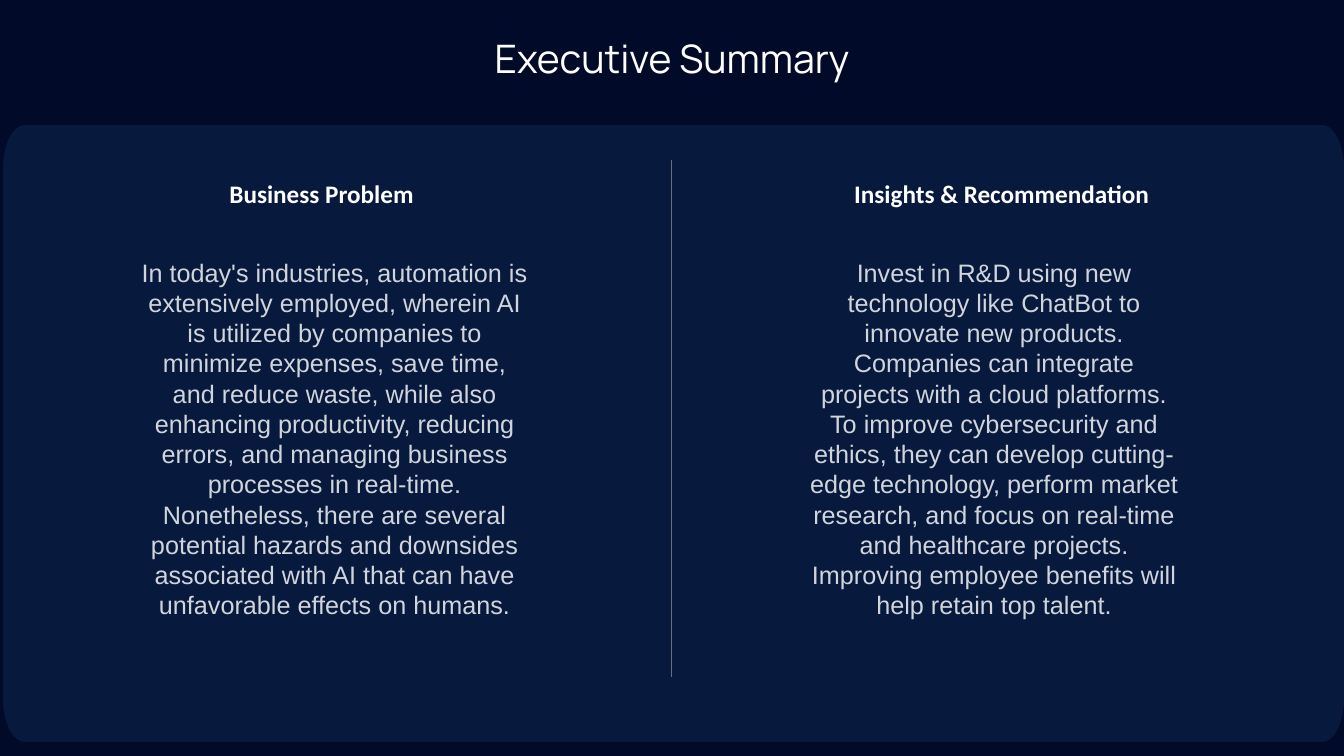
import math
from pptx import Presentation
from pptx import util as u
from pptx.dml.color import RGBColor
from pptx.enum import shapes, text
from pptx.oxml.ns import qn
from lxml import etree

PX = 914400 / 100.8
NAVY = RGBColor(0x01, 0x0A, 0x29)
BLUE = RGBColor(0x1F, 0x49, 0x7D)
WHITE = RGBColor(0xFF, 0xFF, 0xFF)
SILVER = RGBColor(0xD1, 0xD5, 0xDB)
SLATE = RGBColor(0x64, 0x6E, 0x85)


def px(*lengths):
    return [u.Emu(round(length * PX)) for length in lengths]


def write(box, wording, color, **font):
    frame = box.text_frame
    frame.word_wrap = True
    frame.auto_size = text.MSO_AUTO_SIZE.NONE
    frame.vertical_anchor = text.MSO_ANCHOR.TOP
    para = frame.paragraphs[0]
    para.alignment = text.PP_ALIGN.CENTER
    span = para.add_run()
    span.text = wording
    span.font.color.rgb = color
    for name, value in font.items():
        setattr(span.font, name, value)
    return frame


deck = Presentation()
deck.slide_width, deck.slide_height = px(1344, 756)
page = deck.slides.add_slide(deck.slide_layouts[5])
page.background.fill.solid()
page.background.fill.fore_color.rgb = NAVY

# Translucent panel with elliptical corners
LEFT, TOP, RIGHT, BOTTOM = 3, 125, 1344, 742
CORNER_W, CORNER_H, STEPS = 22, 43, 12
centers = [(RIGHT - CORNER_W, BOTTOM - CORNER_H), (LEFT + CORNER_W, BOTTOM - CORNER_H),
           (LEFT + CORNER_W, TOP + CORNER_H), (RIGHT - CORNER_W, TOP + CORNER_H)]
outline = []
for quarter, (x, y) in enumerate(centers):
    for step in range(STEPS + 1):
        angle = (quarter + step / STEPS) * math.pi / 2
        outline.append(px(x + CORNER_W * math.cos(angle), y + CORNER_H * math.sin(angle)))
builder = page.shapes.build_freeform(*outline[0])
builder.add_line_segments(outline[1:], close=True)
panel = builder.convert_to_shape()
panel.shadow.inherit = False
panel.line.fill.background()
panel.fill.solid()
panel.fill.fore_color.rgb = BLUE
panel_color = panel.fill._xPr.find(".//" + qn("a:srgbClr"))
etree.SubElement(panel_color, qn("a:alpha"), val="25000")

# Title
title = page.shapes.title
title.left, title.top, title.width, title.height = px(76, 9, 1192, 67)
frame = write(title, "Executive Summary", WHITE, name="Manrope", size=u.Pt(28))
for side in ("left", "top", "right", "bottom"):
    setattr(frame, f"margin_{side}", 0)
frame.paragraphs[0].line_spacing = u.Pt(52)

# Two columns: heading and body, each with its left edge and width
columns = [
    ("Business Problem ", (197, 255), (129, 411),
     "In today's industries, automation is extensively employed, wherein AI is utilized "
     "by companies to minimize expenses, save time, and reduce waste, while also enhancing "
     "productivity, reducing errors, and managing business processes in real-time. "
     "Nonetheless, there are several potential hazards and downsides associated with AI "
     "that can have unfavorable effects on humans."),
    ("Insights & Recommendation ", (803, 403), (799, 390),
     "Invest in R&D using new technology like ChatBot to innovate new products. Companies "
     "can integrate projects with a cloud platforms. To improve cybersecurity and ethics, "
     "they can develop cutting-edge technology, perform market research, and focus on "
     "real-time and healthcare projects. Improving employee benefits will help retain top "
     "talent."),
]
for heading, (head_x, head_w), (body_x, body_w), body in columns:
    head_box = page.shapes.add_textbox(*px(head_x, 173, head_w, 40))
    write(head_box, heading, WHITE, name="Calibri", size=u.Pt(18), bold=True)
    body_box = page.shapes.add_textbox(*px(body_x, 252, body_w, 346))
    write(body_box, body, SILVER, name="Arial", size=u.Pt(18))

# Divider
divider = page.shapes.add_connector(shapes.MSO_CONNECTOR.STRAIGHT, *px(672, 160, 672, 677))
divider.line.color.rgb = SLATE
divider.line.width = u.Pt(0.75)
etree.SubElement(divider._element.spPr, qn("a:effectLst"))

deck.save("out.pptx")
